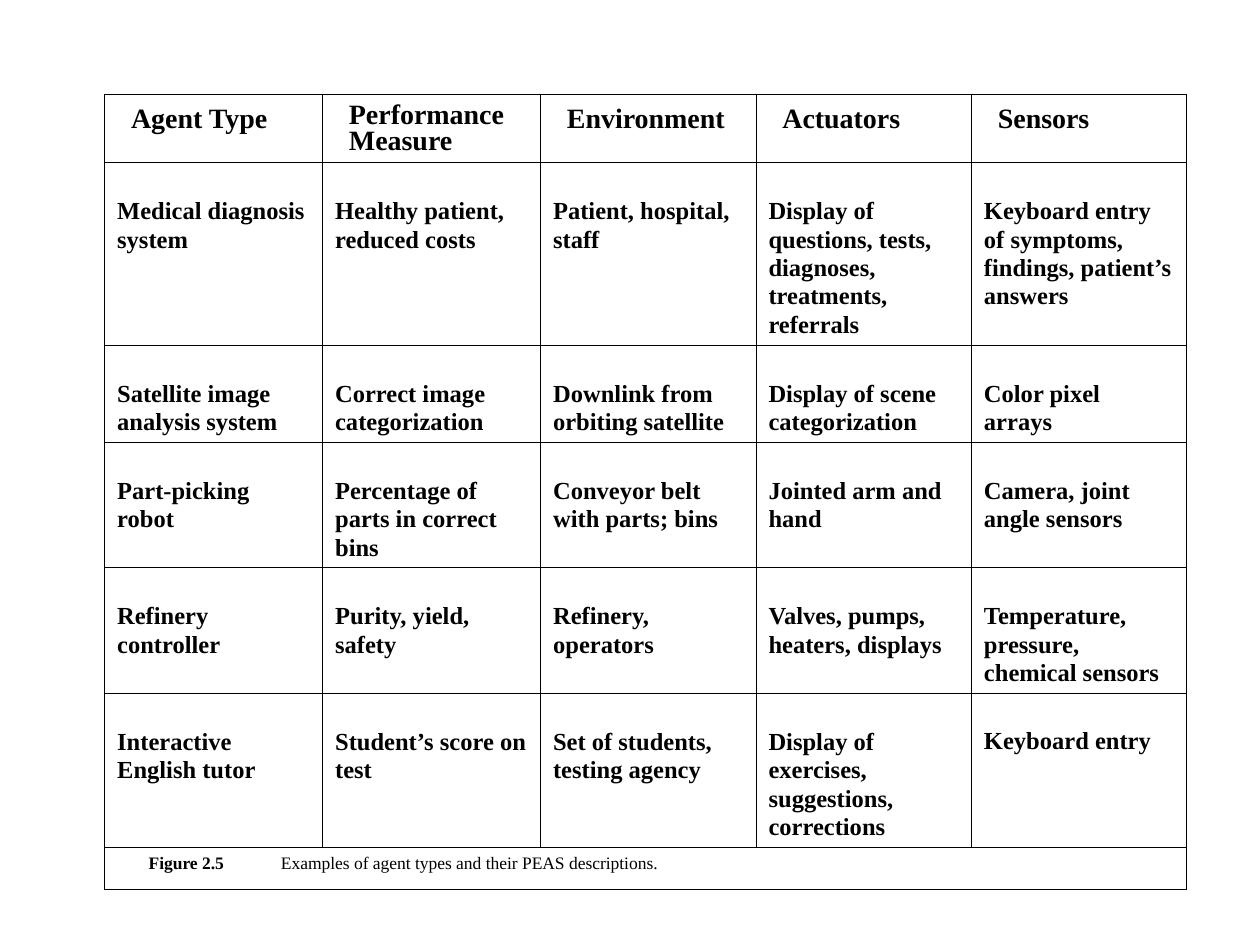
from lxml import etree
from pptx import Presentation
from pptx.dml.color import RGBColor
from pptx.oxml.ns import qn
from pptx.util import Inches, Pt

BLANK_LAYOUT = 6
BORDER_TAGS = ("a:lnL", "a:lnR", "a:lnT", "a:lnB")

COLUMN_WIDTHS = (1.73, 1.73, 1.71, 1.71, 1.71)
ROW_HEIGHTS = (0.52, 1.44, 0.76, 0.99, 0.99, 1.22, 0.33)

HEADINGS = ("Agent Type", "Performance Measure", "Environment", "Actuators", "Sensors")
AGENTS = (
    ("Medical diagnosis system", "Healthy patient, reduced costs",
     "Patient, hospital, staff",
     "Display of questions, tests, diagnoses, treatments, referrals",
     "Keyboard entry of symptoms, findings, patient’s answers"),
    ("Satellite image analysis system", "Correct image categorization",
     "Downlink from orbiting satellite", "Display of scene categorization",
     "Color pixel arrays"),
    ("Part-picking robot", "Percentage of parts in correct bins",
     "Conveyor belt with parts; bins", "Jointed arm and hand",
     "Camera, joint angle sensors"),
    ("Refinery controller", "Purity, yield, safety", "Refinery, operators",
     "Valves, pumps, heaters, displays", "Temperature, pressure, chemical sensors"),
    ("Interactive English tutor", "Student’s score on test",
     "Set of students, testing agency",
     "Display of exercises, suggestions, corrections", "Keyboard entry"),
)
CAPTION = "Figure 2.5\tExamples of agent types and their PEAS descriptions."


def color(hex_value):
    return RGBColor.from_string(hex_value)


class SlideBuilder:
    font = "Times New Roman"
    ink = "000000"
    border_width = 0.45

    def __init__(self, slide):
        self.slide = slide

    def table(self, left, top, widths, heights):
        frame = self.slide.shapes.add_table(
            len(heights), len(widths), Inches(left), Inches(top),
            Inches(sum(widths)), Inches(sum(heights)))
        grid = frame.table
        grid.first_row = grid.horz_banding = False
        for column, width in zip(grid.columns, widths):
            column.width = Inches(width)
        for row, height in zip(grid.rows, heights):
            row.height = Inches(height)
        for cell in grid.iter_cells():
            self.border(cell)
            cell.fill.background()
        return grid

    def border(self, cell):
        properties = cell._tc.get_or_add_tcPr()
        for tag in BORDER_TAGS:
            line = etree.SubElement(properties, qn(tag), w=str(Pt(self.border_width)))
            fill = etree.SubElement(line, qn("a:solidFill"))
            etree.SubElement(fill, qn("a:srgbClr"), val=self.ink)

    def text(self, cell, words, size, top=0.05, indent=0.0, line_spacing=1.0):
        cell.margin_top = Inches(top)
        cell.text_frame.text = words
        paragraph = cell.text_frame.paragraphs[0]
        paragraph.line_spacing = line_spacing
        paragraph._p.get_or_add_pPr().set("marL", str(Inches(indent)))
        for run in paragraph.runs:
            self.style(run, size)
        return paragraph

    def style(self, run, size, bold=True):
        run.font.name = self.font
        run.font.size = Pt(size)
        run.font.bold = bold
        run.font.color.rgb = color(self.ink)

    def caption(self, cell, words, tab):
        """Write the label in bold and the rest plain, starting at the tab stop."""
        label, separator, description = words.partition("\t")
        paragraph = self.text(cell, label + separator, 10, top=0.05, indent=0.25)
        paragraph.space_before = Pt(3.4)
        detail = paragraph.add_run()
        detail.text = description
        self.style(detail, 10, bold=False)
        stops = etree.SubElement(paragraph._p.get_or_add_pPr(), qn("a:tabLst"))
        etree.SubElement(stops, qn("a:tab"), pos=str(Inches(tab)), algn="l")


def main():
    deck = Presentation()
    deck.slide_width, deck.slide_height = Inches(10), Inches(7.5)
    builder = SlideBuilder(deck.slides.add_slide(deck.slide_layouts[BLANK_LAYOUT]))
    peas = builder.table(0.83, 0.75, COLUMN_WIDTHS, ROW_HEIGHTS)

    for column, heading in enumerate(HEADINGS):
        spacing = 0.85 if heading == "Performance Measure" else 1.0
        builder.text(peas.cell(0, column), heading, 16, top=0.07, indent=0.11,
                     line_spacing=spacing)
    for row, agent in enumerate(AGENTS, start=1):
        for column, words in enumerate(agent):
            spacing = 1.0 if words == "Keyboard entry" else 1.05
            builder.text(peas.cell(row, column), words, 14, top=0.27,
                         line_spacing=spacing)

    caption_row = len(ROW_HEIGHTS) - 1
    caption_cell = peas.cell(caption_row, 0)
    caption_cell.merge(peas.cell(caption_row, len(COLUMN_WIDTHS) - 1))
    builder.caption(caption_cell, CAPTION, tab=1.05)
    deck.save("out.pptx")


if __name__ == "__main__":
    main()
